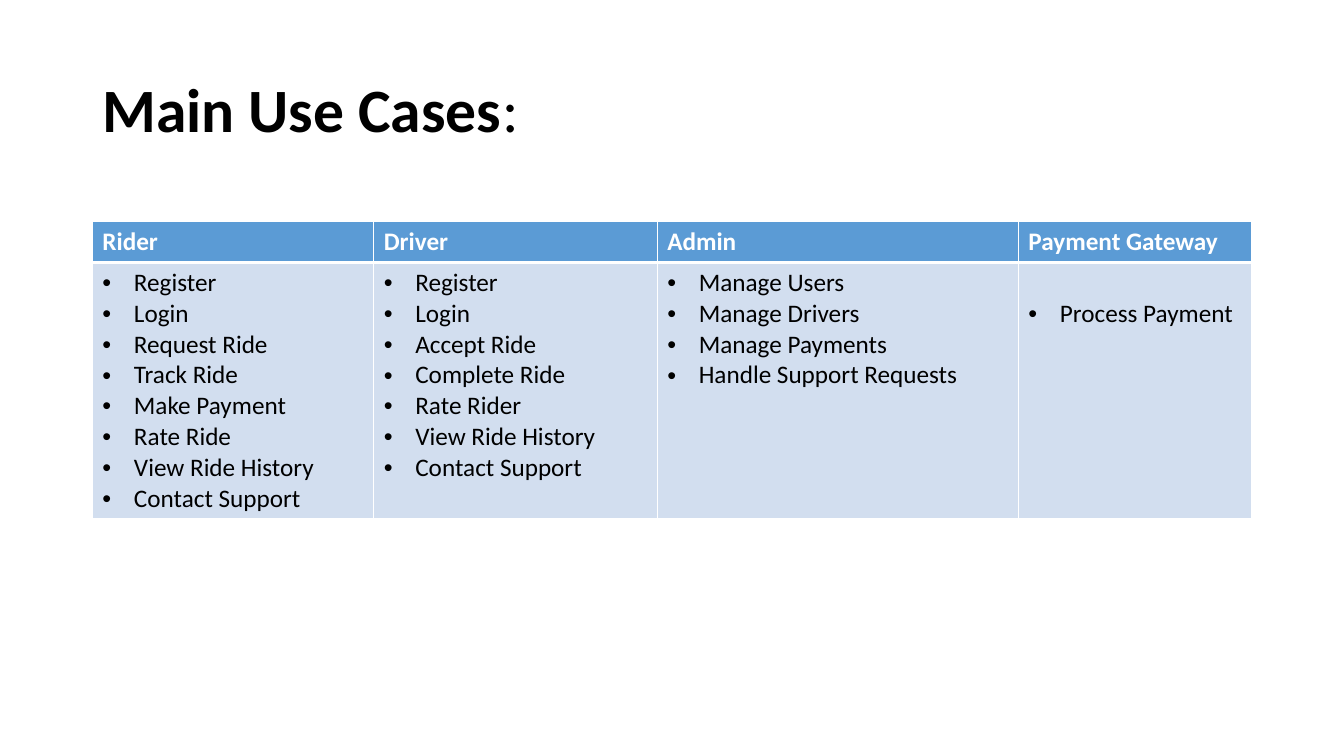
from lxml import etree
from pptx import Presentation
from pptx.dml.color import RGBColor
from pptx.enum.text import MSO_ANCHOR, PP_ALIGN
from pptx.oxml.ns import qn
from pptx.util import Pt

PX = 9525  # EMU in one px, 96 px to the inch
LEFT = PP_ALIGN.LEFT
MIDDLE = MSO_ANCHOR.MIDDLE

BLACK = RGBColor(0x00, 0x00, 0x00)
WHITE = RGBColor(0xFF, 0xFF, 0xFF)
BLUE = RGBColor(0x5B, 0x9B, 0xD5)
PALE = RGBColor(0xD2, 0xDE, 0xEF)

FONT = "Calibri"
INDENT = 30
PAD = 5
LINE = 29  # height of one line of table text

# actor, column width, lines left free at the top, use cases
ACTORS = [
    ("Rider", 268, 0, ["Register", "Login", "Request Ride", "Track Ride",
                       "Make Payment", "Rate Ride", "View Ride History",
                       "Contact Support"]),
    ("Driver", 270, 0, ["Register", "Login", "Accept Ride", "Complete Ride",
                        "Rate Rider", "View Ride History",
                        "Contact Support"]),
    ("Admin", 344, 0, ["Manage Users", "Manage Drivers", "Manage Payments",
                       "Handle Support Requests"]),
    ("Payment Gateway", 222, 1, ["Process Payment"]),
]


def px(count):
    return count * PX


def write(para, text, size=18, color=BLACK, bold=False):
    run = para.add_run()
    run.text = text
    font = run.font
    font.name, font.size, font.bold = FONT, Pt(size), bold
    font.color.rgb = color


def bullet(para):
    props = para._p.get_or_add_pPr()
    props.set("marL", str(px(INDENT)))
    props.set("indent", str(-px(INDENT)))
    etree.SubElement(props, qn("a:buFont")).set("typeface", "Arial")
    etree.SubElement(props, qn("a:buChar")).set("char", "•")


def paint(cell, color, top=1, bottom=1):
    """Set white borders, widths in points, and then the fill."""
    props = cell._tc.get_or_add_tcPr()
    for side, width in (("L", 1), ("R", 1), ("T", top), ("B", bottom)):
        line = etree.SubElement(props, qn("a:ln" + side), w=str(Pt(width)))
        fill = etree.SubElement(line, qn("a:solidFill"))
        etree.SubElement(fill, qn("a:srgbClr"), val=str(WHITE))
    cell.fill.solid()
    cell.fill.fore_color.rgb = color


def add_title(slide):
    title = slide.shapes.title
    title.left, title.top = px(88), px(38)
    title.width, title.height = px(1104), px(139)
    frame = title.text_frame
    frame.word_wrap = True
    frame.vertical_anchor = MIDDLE
    para = frame.paragraphs[0]
    para.alignment = LEFT
    para.line_spacing = 0.9
    write(para, "Main Use Cases", size=44, bold=True)
    write(para, ":", size=44)


def add_cases(slide):
    width = sum(actor[1] for actor in ACTORS)
    table = slide.shapes.add_table(2, len(ACTORS), px(88), px(211),
                                   px(width), px(279)).table
    table.horz_banding = False
    table.rows[0].height, table.rows[1].height = px(39), px(240)
    for col, (name, wide, skip, cases) in enumerate(ACTORS):
        table.columns[col].width = px(wide)
        head, body = table.cell(0, col), table.cell(1, col)
        paint(head, BLUE, bottom=3)
        write(head.text_frame.paragraphs[0], name, color=WHITE, bold=True)
        paint(body, PALE, top=3)
        body.margin_top = px(PAD + skip * LINE)
        frame = body.text_frame
        for row, case in enumerate(cases):
            para = frame.add_paragraph() if row else frame.paragraphs[0]
            bullet(para)
            write(para, case)


def main():
    deck = Presentation()
    deck.slide_width, deck.slide_height = px(1280), px(720)
    slide = deck.slides.add_slide(deck.slide_layouts.get_by_name("Title Only"))
    add_title(slide)
    add_cases(slide)
    deck.save("out.pptx")


if __name__ == "__main__":
    main()
